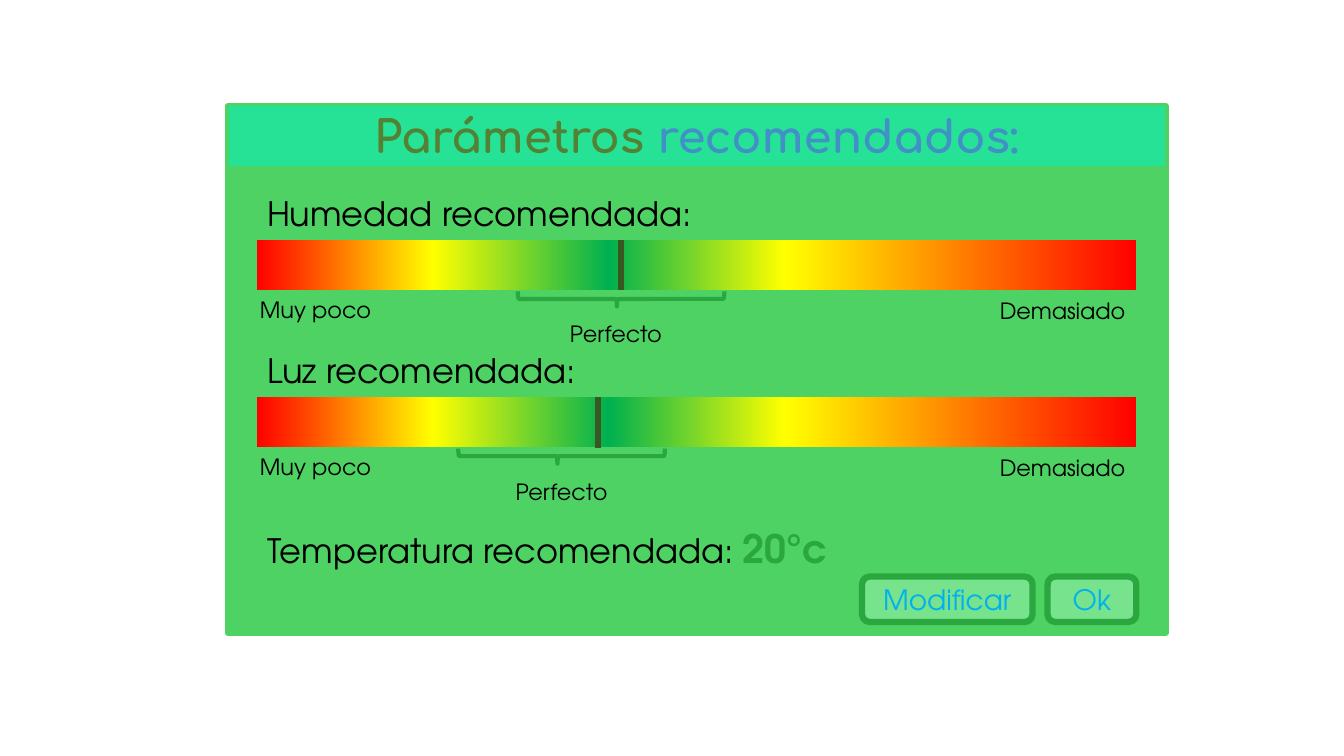
from lxml import etree
from pptx import Presentation
from pptx.dml.color import RGBColor
from pptx.enum import shapes, text
from pptx.oxml.ns import qn
from pptx.util import Inches, Pt

COLORS = {
    "panel": "4ED264", "header": "26E296", "olive": "548235", "blue": "4291C6",
    "black": "000000", "green": "2AA83F", "marker": "385723",
    "button": "77E38C", "sky": "00B0F0",
}
SCALE = [(0, "FF0000"), (20, "FFFF00"), (40, "00B050"), (60, "FFFF00"), (100, "FF0000")]
TITLE_FONT, BODY_FONT = "Comfortaa", "TeX Gyre Adventor"

TITLE = [("Parámetros ", "olive"), ("recomendados:", "blue")]
# heading, heading width, bar top, marker x, brace centre, "Perfecto" centre
GAUGES = [
    ("Humedad recomendada:", 4.49, 2.38, 6.16, 6.16, 6.11),
    ("Luz recomendada:", 3.75, 3.94, 5.93, 5.57, 5.57),
]
TEMPERATURE = ("Temperatura recomendada: ", "20°c")
BUTTONS = [("Modificar", 8.55, 1.69), ("Ok", 10.39, 0.88)]

PANEL_LEFT, PANEL_TOP, PANEL_WIDTH = 2.26, 1.05, 9.3
BAR_LEFT, BAR_WIDTH, BAR_HEIGHT = 2.55, 8.72, 0.5
BRACE_WIDTH, BRACE_LENGTH = 0.15, 2.05
LABEL_WIDTH, LABEL_HEIGHT = 1.46, 0.37

deck = Presentation()
deck.slide_width, deck.slide_height = Inches(13.33), Inches(7.5)
page = deck.slides.add_slide(deck.slide_layouts[6])


def rgb(name):
    return RGBColor.from_string(COLORS[name])


def add_box(kind, left, top, width, height, fill=None, line=None, weight=1):
    box = page.shapes.add_shape(kind, *map(Inches, (left, top, width, height)))
    box.shadow.inherit = False
    if fill:
        box.fill.solid()
        box.fill.fore_color.rgb = rgb(fill)
    else:
        box.fill.background()
    if line:
        box.line.color.rgb = rgb(line)
        box.line.width = Pt(weight)
    else:
        box.line.fill.background()
    return box


def write(box, words, size, color="black", font=BODY_FONT, centred=True):
    box.text_frame.word_wrap = True
    para = box.text_frame.paragraphs[0]
    para.alignment = text.PP_ALIGN.CENTER if centred else text.PP_ALIGN.LEFT
    para.font.name, para.font.size = font, Pt(size)
    para.font.color.rgb = rgb(color)
    if words:
        para.add_run().text = words
    return para


def add_label(words, left, top, width, height=LABEL_HEIGHT, size=16, centred=True):
    box = page.shapes.add_textbox(*map(Inches, (left, top, width, height)))
    return write(box, words, size, centred=centred)


def paint_scale(bar):
    bar.fill.gradient()
    bar.fill.gradient_angle = 0
    stops = bar.element.spPr.find(qn("a:gradFill")).find(qn("a:gsLst"))
    for stop in list(stops):
        stops.remove(stop)
    for percent, color in SCALE:
        stop = etree.SubElement(stops, qn("a:gs"), pos=str(percent * 1000))
        etree.SubElement(stop, qn("a:srgbClr"), val=color)


def add_gauge(heading, heading_width, top, marker, brace_centre, label_centre):
    add_label(heading, BAR_LEFT, top - 0.52, heading_width, 0.5, 24, centred=False)
    bar = add_box(shapes.MSO_SHAPE.RECTANGLE, BAR_LEFT, top, BAR_WIDTH, BAR_HEIGHT)
    paint_scale(bar)

    # Brace turned to point down, just below the bar
    brace = add_box(shapes.MSO_SHAPE.LEFT_BRACE, brace_centre - BRACE_WIDTH / 2,
                    top - 0.44, BRACE_WIDTH, BRACE_LENGTH, line="green", weight=3)
    brace.rotation = 270
    brace.adjustments[0], brace.adjustments[1] = 0.08, 0.48

    below = top + BAR_HEIGHT + 0.01
    add_label("Muy poco", 2.44, below, 1.38)
    add_label("Demasiado", BAR_LEFT + BAR_WIDTH - LABEL_WIDTH, below + 0.01, LABEL_WIDTH)
    add_label("Perfecto", label_centre - LABEL_WIDTH / 2, top + 0.75, LABEL_WIDTH)

    # Marker across the bar
    line = page.shapes.add_connector(
        shapes.MSO_CONNECTOR.STRAIGHT,
        *map(Inches, (marker, top, marker, top + BAR_HEIGHT)))
    line.line.color.rgb = rgb("marker")
    line.line.width = Pt(4.5)
    etree.SubElement(line.element.spPr, qn("a:effectLst"))


# Panel and title band
add_box(shapes.MSO_SHAPE.RECTANGLE, PANEL_LEFT, PANEL_TOP, PANEL_WIDTH, 5.23,
        "panel", "panel", 4.5)
band = add_box(shapes.MSO_SHAPE.RECTANGLE, PANEL_LEFT, PANEL_TOP, PANEL_WIDTH, 0.6,
               "header", "panel")
title = write(band, "", 32, font=TITLE_FONT)
title.font.bold = True
for words, color in TITLE:
    span = title.add_run()
    span.text = words
    span.font.color.rgb = rgb(color)

# Humidity and light gauges
for gauge in GAUGES:
    add_gauge(*gauge)

# Temperature
caption, value = TEMPERATURE
temperature = add_label(caption, BAR_LEFT, 5.15, 5.82, 0.57, 24, centred=False)
span = temperature.add_run()
span.text = value
span.font.size, span.font.bold = Pt(28), True
span.font.color.rgb = rgb("green")

# Buttons
for words, left, width in BUTTONS:
    button = add_box(shapes.MSO_SHAPE.ROUNDED_RECTANGLE, left, 5.72, width, 0.45,
                     "button", "green", 4.5)
    write(button, words, 20, "sky")

deck.save("out.pptx")
